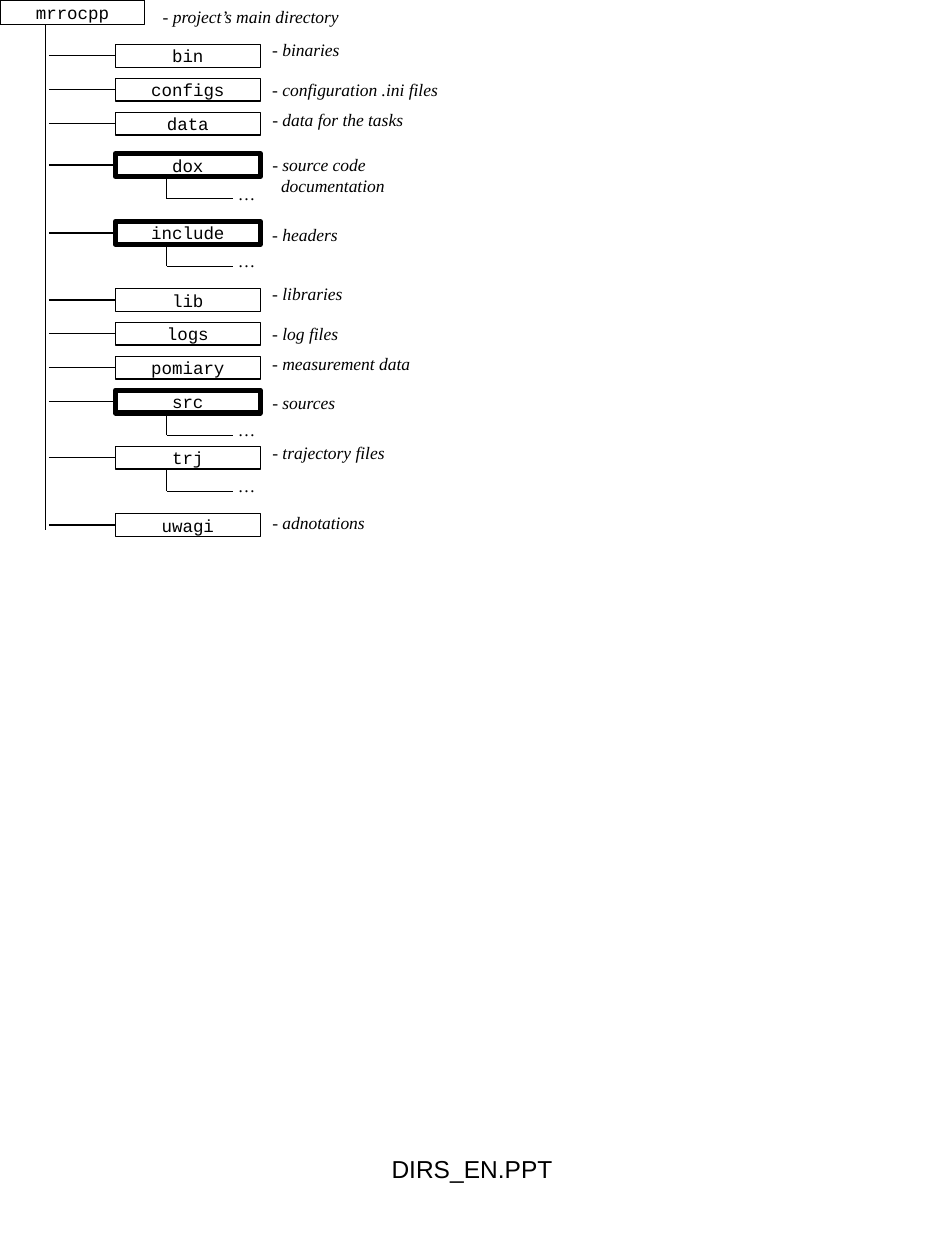
from lxml import etree
from pptx import Presentation
from pptx import util as u
from pptx.dml import color
from pptx.enum import shapes, text
from pptx.oxml import ns

Pt = u.Pt
hex_color = color.RGBColor.from_string
BLACK = "000000"
BOX_LEFT, BOX_WIDTH, BOX_HEIGHT = 65.9, 82.8, 13
TRUNK_X, STUB_LEFT = 26.2, 28
BRANCH_X, BRANCH_RIGHT, BRANCH_DROP = 95.3, 133.2, 12.7
NOTE_LEFT, NOTE_HEIGHT = 148.5, 19.4

presentation = Presentation()
presentation.slide_width, presentation.slide_height = Pt(540), Pt(720)
slide = presentation.slides.add_slide(presentation.slide_layouts[6])
tree = slide.shapes.add_group_shape().shapes


def add_text(parent, content, left, top, width, height, font="Times New Roman", size=10,
             italic=True, wrap=True, centered=False, border=None, grow=True, hanging=0):
    if border:
        shape = parent.add_shape(shapes.MSO_SHAPE.RECTANGLE, Pt(left), Pt(top), Pt(width), Pt(height))
        shape.shadow.inherit = False
        shape.fill.background()
        shape.line.color.rgb = hex_color(BLACK)
        shape.line.width = Pt(border)
    else:
        shape = parent.add_textbox(Pt(left), Pt(top), Pt(width), Pt(height))
    frame = shape.text_frame
    frame.word_wrap = wrap
    frame.auto_size = text.MSO_AUTO_SIZE.SHAPE_TO_FIT_TEXT if grow else text.MSO_AUTO_SIZE.NONE
    frame.vertical_anchor = text.MSO_ANCHOR.MIDDLE if border else text.MSO_ANCHOR.TOP
    paragraph = frame.paragraphs[0]
    paragraph.text = content
    paragraph.alignment = text.PP_ALIGN.CENTER if centered else text.PP_ALIGN.LEFT
    if hanging:
        properties = paragraph._p.get_or_add_pPr()
        properties.set("marL", str(Pt(hanging)))
        properties.set("indent", str(-Pt(hanging)))
    for run in paragraph.runs:
        run.font.name, run.font.size, run.font.italic = font, Pt(size), italic
        run.font.color.rgb = hex_color(BLACK)


def add_line(x1, y1, x2, y2):
    line = tree.add_connector(shapes.MSO_CONNECTOR.STRAIGHT, Pt(x1), Pt(y1), Pt(x2), Pt(y2))
    line.line.color.rgb = hex_color(BLACK)
    line.line.width = Pt(0.75)
    etree.SubElement(line._element.spPr, ns.qn("a:effectLst"))


box_format = dict(font="Courier New", italic=False, wrap=False, centered=True, grow=False)
add_text(tree, "mrrocpp", 0, 0, BOX_WIDTH, 13.9, border=0.75, **box_format)
add_text(tree, "- project’s main directory", 85.9, 0, 146.2, NOTE_HEIGHT)
add_line(TRUNK_X, 14, TRUNK_X, 303.1)

directories = [
    ("bin", 25.4, 0.75, False, "- binaries", 18.9, 92),
    ("configs", 44.8, 0.75, False, "- configuration .ini files", 41.8, 113),
    ("data", 64.2, 0.75, False, "- data for the tasks", 58.6, 93),
    ("dox", 87.8, 3, True, "- source code\vdocumentation", 84.5, 82),
    ("include", 126.6, 3, True, "- headers", 124.2, 108),
    ("lib", 165, 0.75, False, "- libraries", 158.4, 58),
    ("logs", 184.2, 0.75, False, "- log files", 180.9, 56),
    ("pomiary", 203.6, 0.75, False, "- measurement data", 198.2, 97),
    ("src", 223, 3, True, "- sources", 220.3, 95),
    ("trj", 255, 0.75, True, "- trajectory files", 249.1, 84),
    ("uwagi", 293.6, 0.75, False, "- adnotations", 289, 73),
]
for name, top, border, has_children, note, note_top, note_width in directories:
    middle, bottom = top + BOX_HEIGHT / 2, top + BOX_HEIGHT
    add_text(tree, name, BOX_LEFT, top, BOX_WIDTH, BOX_HEIGHT, border=border, **box_format)
    add_line(STUB_LEFT, middle, BOX_LEFT, middle)
    note_breaks = note.count("\v")
    add_text(tree, note, NOTE_LEFT, note_top, note_width, NOTE_HEIGHT + 12 * note_breaks,
             hanging=5 * note_breaks)
    if has_children:
        add_line(BRANCH_X, bottom, BRANCH_X, bottom + BRANCH_DROP)
        add_line(BRANCH_X, bottom + BRANCH_DROP, BRANCH_RIGHT, bottom + BRANCH_DROP)
        add_text(tree, "…", 129.6, bottom, 18.7, NOTE_HEIGHT)

add_text(slide.shapes, "DIRS_EN.PPT", 184.5, 655.9, 170.6, 49.7, font="Arial", size=14,
         italic=False, centered=True, grow=False)
presentation.save("out.pptx")
